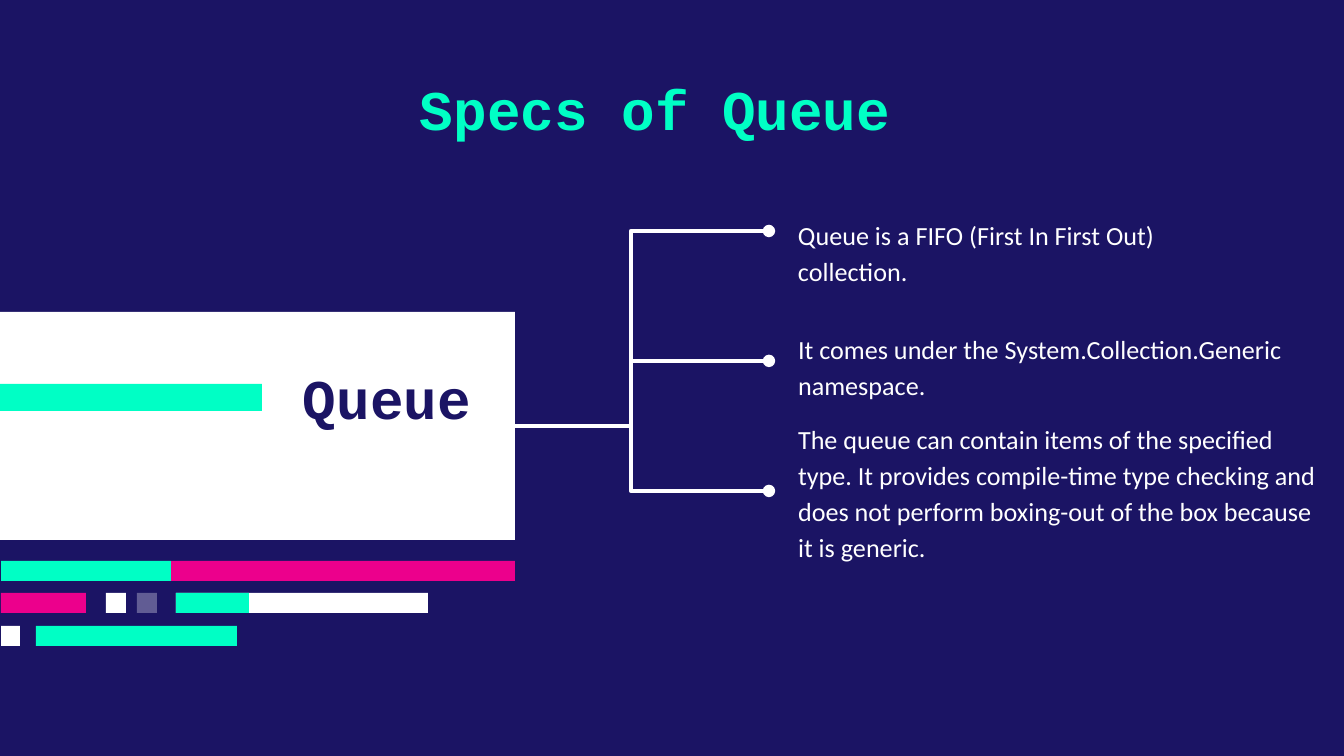
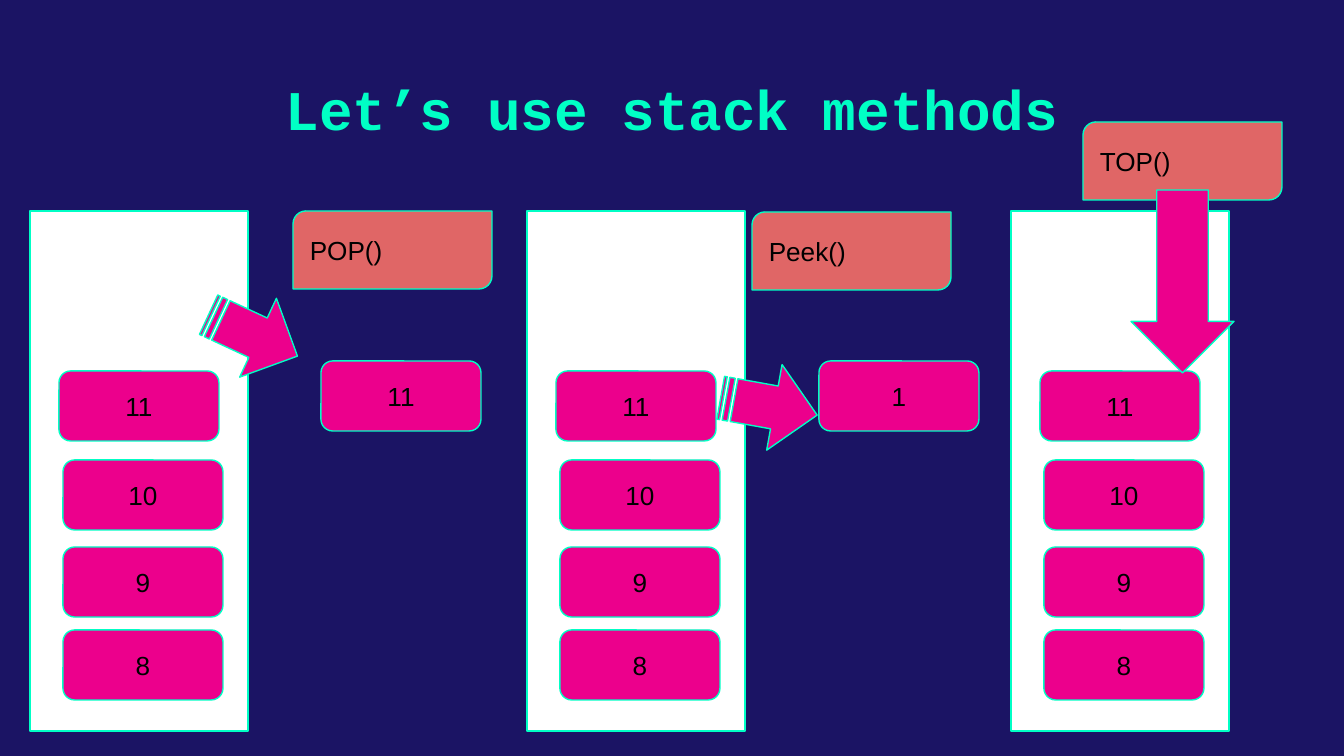
from lxml.etree import SubElement
from pptx import Presentation
from pptx.dml.color import RGBColor
from pptx.enum.shapes import MSO_CONNECTOR, MSO_SHAPE
from pptx.enum.text import MSO_ANCHOR, PP_ALIGN
from pptx.oxml.ns import qn
from pptx.util import Emu, Pt

NAVY = RGBColor(0x1B, 0x14, 0x64)
MINT = RGBColor(0x00, 0xFF, 0xC5)
PINK = RGBColor(0xEC, 0x00, 0x8C)
CORAL = RGBColor(0xE0, 0x66, 0x66)
WHITE = RGBColor(0xFF, 0xFF, 0xFF)
BLACK = RGBColor(0x00, 0x00, 0x00)

SCALE = 914400 / 134.4
WIDE, HIGH = 1344, 756
INSET = 13
HEAD = "Courier New"
BODY = "Calibri"
LABEL = "Arial"


def px(num):
    return Emu(round(num * SCALE))


def place(*nums):
    return [px(num) for num in nums]


def write(shape, text, font, size, color, align=PP_ALIGN.LEFT,
          anchor=MSO_ANCHOR.TOP, pad=INSET, bold=False, space=1.0):
    frame = shape.text_frame
    frame.word_wrap = True
    frame.vertical_anchor = anchor
    frame.margin_left = frame.margin_right = px(INSET)
    frame.margin_top = frame.margin_bottom = px(pad)
    para = frame.paragraphs[0]
    para.alignment = align
    para.line_spacing = space
    run = para.add_run()
    run.text = text
    run.font.name = font
    run.font.size = Pt(size)
    run.font.bold = bold
    run.font.color.rgb = color


def add_text(slide, box, text, font, size, color, **style):
    shape = slide.shapes.add_textbox(*place(*box))
    write(shape, text, font, size, color, **style)


def add_block(slide, kind, box, fill, edge=None, turn=0):
    shape = slide.shapes.add_shape(kind, *place(*box))
    shape.shadow.inherit = False
    shape.fill.solid()
    shape.fill.fore_color.rgb = fill
    if edge is None:
        shape.line.fill.background()
    else:
        shape.line.color.rgb = edge
        shape.line.width = Pt(0.75)
    shape.rotation = turn
    return shape


def add_bar(slide, box, fill, alpha=None):
    bar = add_block(slide, MSO_SHAPE.RECTANGLE, box, fill)
    if alpha is not None:
        tint = bar.fill._xPr.find(qn("a:solidFill"))[0]
        SubElement(tint, qn("a:alpha")).set("val", str(alpha * 1000))


def add_branch(slide, start, end):
    link = slide.shapes.add_connector(MSO_CONNECTOR.ELBOW, *place(*start, *end))
    link.line.color.rgb = WHITE
    link.line.width = Pt(2.25)
    SubElement(link.line._get_or_add_ln(), qn("a:tailEnd")).set("type", "oval")
    SubElement(link._element.spPr, qn("a:effectLst"))


def add_item(slide, left, top, text):
    box = (left, top, 160, 70)
    item = add_block(slide, MSO_SHAPE.ROUNDED_RECTANGLE, box, PINK, MINT)
    write(item, text, LABEL, 14, BLACK, PP_ALIGN.CENTER, MSO_ANCHOR.MIDDLE)


def add_stack(slide, left):
    add_block(slide, MSO_SHAPE.FLOWCHART_PROCESS, (left, 211, 218, 520), WHITE, MINT)
    for shift, top, text in ((33, 630, "8"), (33, 547, "9"),
                             (33, 460, "10"), (29, 371, "11")):
        add_item(slide, left + shift, top, text)


def add_call(slide, left, top, text):
    box = (left, top, 199, 78)
    call = add_block(slide, MSO_SHAPE.ROUND_2_DIAG_RECTANGLE, box, CORAL, MINT)
    write(call, text, LABEL, 14, BLACK, anchor=MSO_ANCHOR.MIDDLE)


def add_arrow(slide, left, top, turn):
    box = (left, top, 98, 87)
    add_block(slide, MSO_SHAPE.STRIPED_RIGHT_ARROW, box, PINK, MINT, turn)


def add_page(deck, title):
    slide = deck.slides.add_slide(deck.slide_layouts[6])
    slide.background.fill.solid()
    slide.background.fill.fore_color.rgb = NAVY
    add_text(slide, (188, 51, 968, 98), title, HEAD, 30, MINT,
             align=PP_ALIGN.CENTER, bold=True, space=1.15)
    return slide


def draw_specs(deck):
    slide = add_page(deck, "Specs of Queue ")
    add_bar(slide, (0, 312, 515, 228), WHITE)
    specs = (
        (215, 396, "Queue is a FIFO (First In First Out) collection."),
        (329, 546, "It comes under the System.Collection.Generic namespace."),
        (419, 546, "The queue can contain items of the specified type. "
                   "It provides compile-time type checking and does not perform "
                   "boxing-out of the box because it is generic."),
    )
    for top, width, text in specs:
        add_text(slide, (785, top, width, 40), text, BODY, 14, WHITE,
                 pad=0, space=1.15)
    add_bar(slide, (0, 384, 262, 27), MINT)
    add_text(slide, (127, 363, 357, 58), "Queue", HEAD, 30, NAVY,
             align=PP_ALIGN.RIGHT, anchor=MSO_ANCHOR.MIDDLE, pad=0,
             bold=True, space=1.15)
    rows = (
        (561, ((171, 344, PINK), (1, 170, MINT))),
        (593, ((176, 252, WHITE), (176, 73, MINT), (1, 85, PINK),
               (137, 20, WHITE, 31), (106, 20, WHITE))),
        (626, ((1, 19, WHITE), (36, 201, MINT))),
    )
    for top, bars in rows:
        for left, width, *look in bars:
            add_bar(slide, (left, top, width, 20), *look)
    for step in range(3):
        add_branch(slide, (493, 426), (769, 231 + 130 * step))


def draw_stacks(deck):
    slide = add_page(deck, "Let’s use stack methods")
    add_stack(slide, 30)
    add_item(slide, 321, 361, "11")
    add_call(slide, 293, 211, "POP()")
    add_arrow(slide, 204, 292, 25)
    add_stack(slide, 527)
    add_item(slide, 819, 361, "1")
    add_call(slide, 752, 212, "Peek()")
    add_arrow(slide, 720, 363, 10.2)
    add_stack(slide, 1011)
    add_call(slide, 1083, 122, "TOP()")
    add_block(slide, MSO_SHAPE.DOWN_ARROW, (1131, 190, 103, 183), PINK, MINT)


def main():
    deck = Presentation()
    deck.slide_width, deck.slide_height = place(WIDE, HIGH)
    draw_specs(deck)
    draw_stacks(deck)
    deck.save("out.pptx")


if __name__ == "__main__":
    main()
